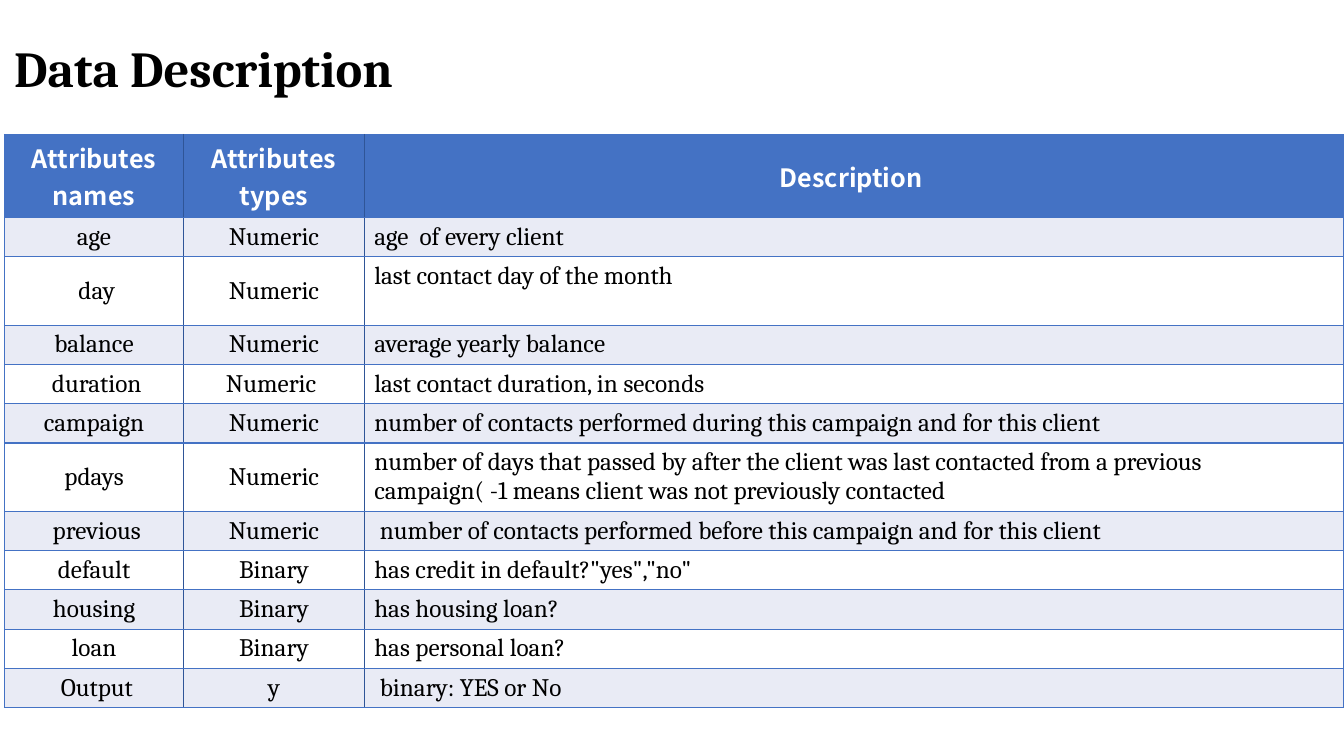
import pptx
import pptx.util
import pptx.dml.color
import pptx.enum.text
import pptx.oxml
import pptx.oxml.ns
import lxml.etree

Cm = pptx.util.Cm
MIDDLE = pptx.enum.text.MSO_ANCHOR.MIDDLE
TOP = pptx.enum.text.MSO_ANCHOR.TOP
LEFT = pptx.enum.text.PP_ALIGN.LEFT
CENTER = pptx.enum.text.PP_ALIGN.CENTER

BLUE, DARK_BLUE = "4472C4", "2F5597"
BAND, WHITE, BLACK = "E9EBF5", "FFFFFF", "000000"
COLUMN_WIDTHS = (4.52, 4.55, 24.69)
HEADER_HEIGHT, LINE_HEIGHT, TALL_HEIGHT = 2.09, 0.99, 1.72
TALL_ROWS = ("day", "pdays")

HEADINGS = ("Attributes names", "Attributes types", "Description ")
ATTRIBUTES = (
    ("age", "Numeric", "age  of every client"),
    (" day", "Numeric", "last contact day of the month"),
    ("balance", "Numeric", "average yearly balance"),
    (" duration", "Numeric ", "last contact duration, in seconds"),
    ("campaign", "Numeric", "number of contacts performed during this campaign and for this client"),
    ("pdays", "Numeric", "number of days that passed by after the client was last contacted "
     "from a previous campaign( -1 means client was not previously contacted"),
    (" previous", "Numeric", " number of contacts performed before this campaign and for this client"),
    ("default", "Binary", 'has credit in default?"yes","no"'),
    ("housing", "Binary", "has housing loan?"),
    ("loan", "Binary", "has personal loan?"),
    (" Output", "y", " binary: YES or No"),
)


def color(hex_string):
    return pptx.dml.color.RGBColor.from_string(hex_string)


def write_text(text_frame, text, size=18, font="Cambria", fill=BLACK, bold=False, align=LEFT):
    paragraph = text_frame.paragraphs[0]
    paragraph.alignment = align
    run = paragraph.add_run()
    run.text = text
    run.font.size = pptx.util.Pt(size)
    run.font.name = font
    run.font.bold = bold
    run.font.color.rgb = color(fill)
    properties = run.font._element
    for script in ("a:ea", "a:cs"):
        typeface = lxml.etree.SubElement(properties, pptx.oxml.ns.qn(script))
        typeface.set("typeface", font)


def set_borders(cell, **sides):
    """Draw 1 pt borders; sides maps L, R, T and B to colours."""
    properties = cell._tc.get_or_add_tcPr()
    for index, side in enumerate("LRTB"):
        line = pptx.oxml.parse_xml(
            f'<a:ln{side} {pptx.oxml.ns.nsdecls("a")} w="12700"><a:solidFill>'
            f'<a:srgbClr val="{sides[side]}"/></a:solidFill></a:ln{side}>')
        properties.insert(index, line)


def add_title(slide, left, top, width, height):
    box = slide.shapes.add_textbox(Cm(left), Cm(top), Cm(width), Cm(height))
    box.text_frame.word_wrap = False
    write_text(box.text_frame, "Data Description", size=36, bold=True)


def add_attribute_table(slide, left, top, width, height):
    rows = (HEADINGS,) + ATTRIBUTES
    shape = slide.shapes.add_table(
        len(rows), len(HEADINGS), Cm(left), Cm(top), Cm(width), Cm(height))
    table = shape.table
    for column, share in zip(table.columns, COLUMN_WIDTHS):
        column.width = Cm(width * share / sum(COLUMN_WIDTHS))
    last = len(HEADINGS) - 1
    for row_index, values in enumerate(rows):
        is_header = row_index == 0
        is_tall = values[0].strip() in TALL_ROWS
        row_height = HEADER_HEIGHT if is_header else TALL_HEIGHT if is_tall else LINE_HEIGHT
        table.rows[row_index].height = Cm(row_height)
        for column_index, value in enumerate(values):
            cell = table.cell(row_index, column_index)
            is_description = column_index == last and not is_header
            cell.vertical_anchor = TOP if is_description and is_tall else MIDDLE
            cell.fill.solid()
            cell.fill.fore_color.rgb = color(
                BLUE if is_header else BAND if row_index % 2 else WHITE)
            set_borders(cell, T=BLUE, B=BLUE,
                        L=BLUE if column_index == 0 else DARK_BLUE,
                        R=BLUE if column_index == last else DARK_BLUE)
            if is_header:
                write_text(cell.text_frame, value, font="Noto Sans CJK SC",
                           fill=WHITE, bold=True, align=CENTER)
            else:
                write_text(cell.text_frame, value, align=LEFT if is_description else CENTER)


def main():
    presentation = pptx.Presentation()
    presentation.slide_width = Cm(33.87)
    presentation.slide_height = Cm(19.05)
    slide = presentation.slides.add_slide(presentation.slide_layouts[6])
    add_attribute_table(slide, left=0.11, top=3.39, width=33.76, height=14.48)
    add_title(slide, left=0.11, top=0.82, width=10.44, height=2.56)
    presentation.save("out.pptx")


if __name__ == "__main__":
    main()
